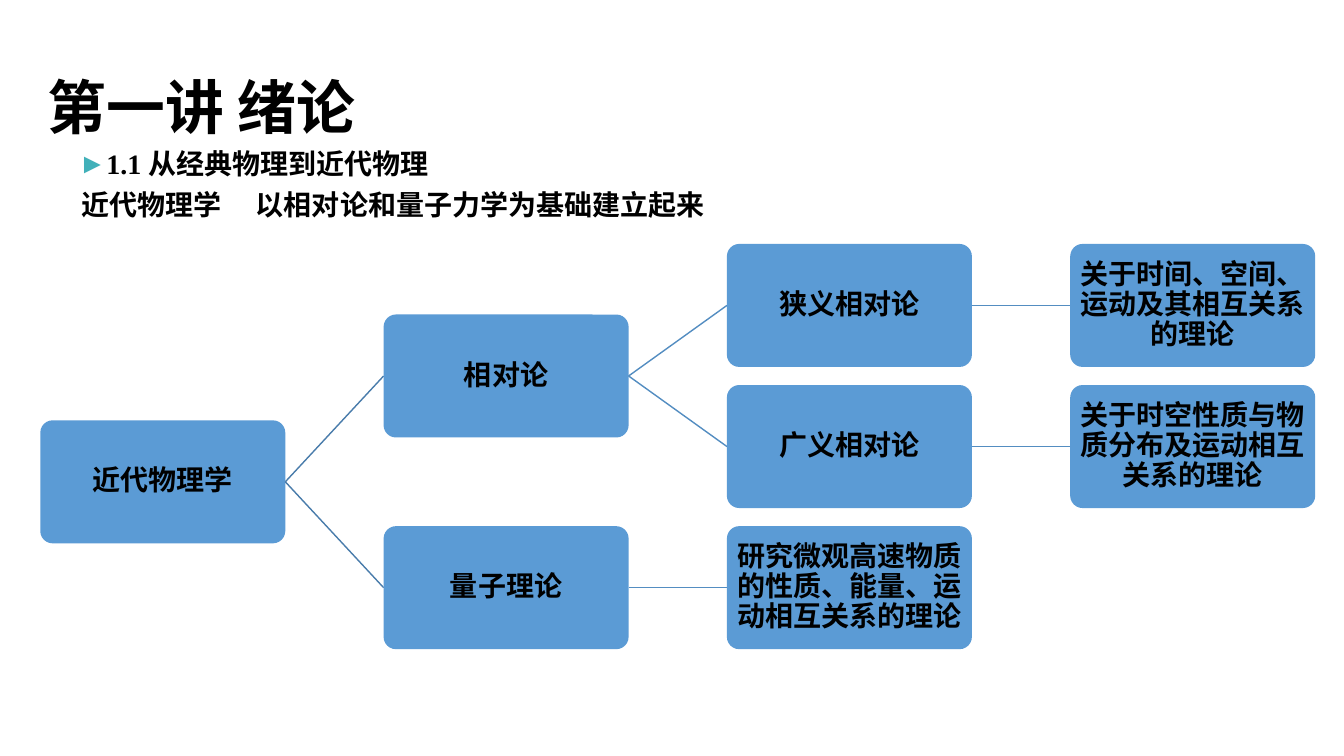
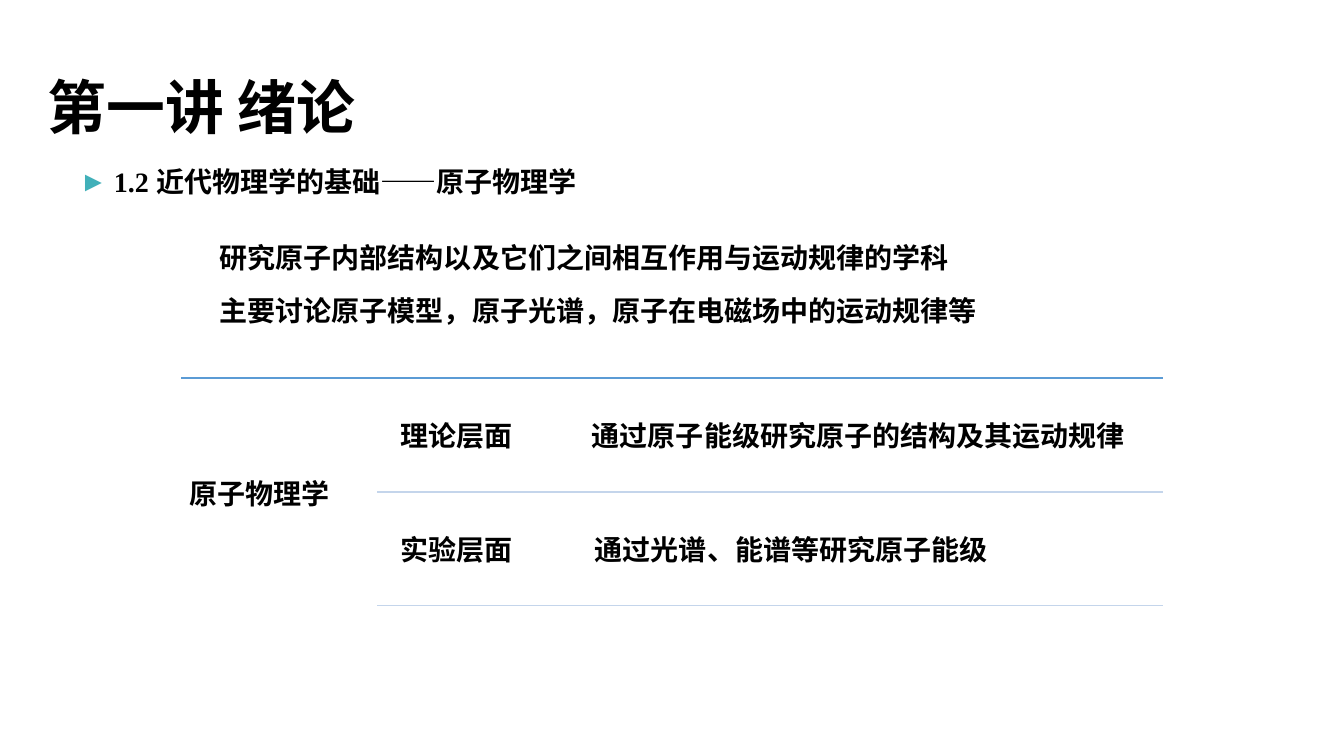
from dataclasses import dataclass
from pptx import Presentation
from pptx.dml.color import RGBColor
from pptx.enum.shapes import MSO_CONNECTOR as Connector, MSO_SHAPE as Shape
from pptx.enum.text import MSO_ANCHOR as Anchor, PP_ALIGN as Align
from pptx.oxml.xmlchemy import OxmlElement
from pptx.util import Inches, Pt

BLACK, BLUE, TEAL = "000000", "5B9BD5", "41B0B9"
TRUNK, BRANCH, PALE = "497CAB", "538DC1", "C4D5EB"
SERIF, SANS = "Times New Roman", "Noto Sans CJK SC"
NODE_WIDTH, NODE_HEIGHT = 2.43, 1.22
COLUMN_STEP, ROW_STEP = 3.405, 1.4


@dataclass
class Node:
    text: str
    children: tuple = ()


THEORY_TREE = Node("近代物理学", (
    Node("相对论", (
        Node("狭义相对论", (Node("关于时间、空间、运动及其相互关系的理论"),)),
        Node("广义相对论", (Node("关于时空性质与物质分布及运动相互关系的理论"),)),
    )),
    Node("量子理论", (Node("研究微观高速物质的性质、能量、运动相互关系的理论"),)),
))
ATOMIC_LEVELS = (
    ("理论层面", "通过原子能级研究原子的结构及其运动规律", 5.79),
    ("实验层面", "通过光谱、能谱等研究原子能级", 5.82),
)


def color(value):
    return RGBColor.from_string(value)


def add_child(parent, tag, **attributes):
    child = OxmlElement(tag)
    for name, value in attributes.items():
        child.set(name, value)
    parent.append(child)
    return child


def write(shape, text, size=20, font=SERIF, align=Align.LEFT, spacing=1.0, anchor=Anchor.TOP, margin=None):
    frame = shape.text_frame
    frame.word_wrap = True
    frame.vertical_anchor = anchor
    if margin is not None:
        frame.margin_left = frame.margin_right = Inches(margin)
        frame.margin_top = frame.margin_bottom = Inches(margin)
    para = frame.paragraphs[0]
    para.text = text
    para.alignment = align
    para.line_spacing = spacing
    para.font.size = Pt(size)
    para.font.bold = True
    para.font.color.rgb = color(BLACK)
    para.font.name = font
    add_child(para._p.pPr.find_defaults(), "a:ea", typeface=SANS) if hasattr(
        para._p.pPr, "find_defaults") else add_child(
        para._p.pPr.get_or_add_defRPr(), "a:ea", typeface=SANS)
    return para


def place(shape, left, top, width, height):
    shape.left, shape.top = Inches(left), Inches(top)
    shape.width, shape.height = Inches(width), Inches(height)


def add_text(page, text, left, top, width, height, **style):
    box = page.shapes.add_textbox(Inches(left), Inches(top), Inches(width), Inches(height))
    return write(box, text, **style)


def add_line(page, start, end, line_color):
    line = page.shapes.add_connector(Connector.STRAIGHT, *map(Inches, (*start, *end)))
    line.line.color.rgb = color(line_color)
    line.line.width = Pt(1)
    add_child(line._element.spPr, "a:effectLst")


def add_page(deck, heading, left, top, indent):
    page = deck.slides.add_slide(deck.slide_layouts[1])
    title, body = page.placeholders
    place(title, 0.37, 0.52, 10.88, 0.88)
    write(title, "第一讲 绪论", size=42, spacing=1.25, anchor=Anchor.MIDDLE)
    place(body, left, top, 9.78, 0.48)
    para = write(body, heading, spacing=0.9)
    para.space_before = Pt(10)
    properties = para._p.pPr
    properties.set("marL", str(Inches(indent)))
    properties.set("indent", str(-Inches(indent)))
    defaults = properties.get_or_add_defRPr()
    bullet_color = add_child(properties, "a:buClr")
    add_child(bullet_color, "a:srgbClr", val=TEAL)
    add_child(properties, "a:buChar", char="►")
    properties.append(defaults)
    return page


def leaf_count(node):
    return sum(map(leaf_count, node.children)) or 1


def middle(node, top):
    if not node.children:
        return top + NODE_HEIGHT / 2
    centers = []
    for child in node.children:
        centers.append(middle(child, top))
        top += leaf_count(child) * ROW_STEP
    return (centers[0] + centers[-1]) / 2


def add_tree(page, node, left, top, line_color=TRUNK):
    center = middle(node, top)
    box = page.shapes.add_shape(
        Shape.ROUNDED_RECTANGLE, Inches(left), Inches(center - NODE_HEIGHT / 2),
        Inches(NODE_WIDTH), Inches(NODE_HEIGHT))
    box.adjustments[0] = 0.1
    box.shadow.inherit = False
    box.fill.solid()
    box.fill.fore_color.rgb = color(BLUE)
    box.line.fill.background()
    write(box, node.text, font=SANS, align=Align.CENTER, spacing=0.9, anchor=Anchor.MIDDLE, margin=0.05)
    next_left = left + COLUMN_STEP
    for child in node.children:
        add_line(page, (left + NODE_WIDTH, center), (next_left, middle(child, top)), line_color)
        add_tree(page, child, next_left, top, BRANCH)
        top += leaf_count(child) * ROW_STEP


def add_levels(page, left, top, width, row_height):
    right, branch_left = left + width, left + 1.94
    style = dict(font=SANS, spacing=0.9, anchor=Anchor.MIDDLE, margin=0.08)
    add_line(page, (left, top), (right, top), BLUE)
    add_text(page, "原子物理学", left, top, 1.95, 2 * row_height + 0.06, **style)
    for row, (level, method, method_left) in enumerate(ATOMIC_LEVELS):
        row_top = top + row * row_height
        bottom = row_top + row_height
        add_text(page, level, left + 2.09, row_top + 0.05, 1.77, 1.08, **style)
        add_text(page, method, method_left, row_top + 0.05, 5.7, 1.08, **style)
        add_line(page, (branch_left, bottom), (right, bottom), PALE)


def add_modern_physics(deck):
    page = add_page(deck, "1.1 从经典物理到近代物理", 0.68, 1.44, 0.25)
    add_text(page, "近代物理学", 0.71, 1.81, 1.73, 0.44)
    add_text(page, "以相对论和量子力学为基础建立起来", 2.44, 1.81, 6.27, 0.44)
    add_tree(page, THEORY_TREE, 0.4, 2.42)


def add_atomic_physics(deck):
    page = add_page(deck, "1.2 近代物理学的基础——原子物理学", 0.69, 1.62, 0.34)
    add_text(page, "研究原子内部结构以及它们之间相互作用与运动规律的学科", 2.08, 2.34, 7.9, 0.44)
    add_text(page, "主要讨论原子模型，原子光谱，原子在电磁场中的运动规律等", 2.08, 2.86, 7.9, 0.44)
    add_levels(page, 1.8, 3.75, 9.73, 1.13)


def main():
    deck = Presentation()
    deck.slide_width, deck.slide_height = Inches(13.33), Inches(7.5)
    add_modern_physics(deck)
    add_atomic_physics(deck)
    deck.save("out.pptx")


if __name__ == "__main__":
    main()
